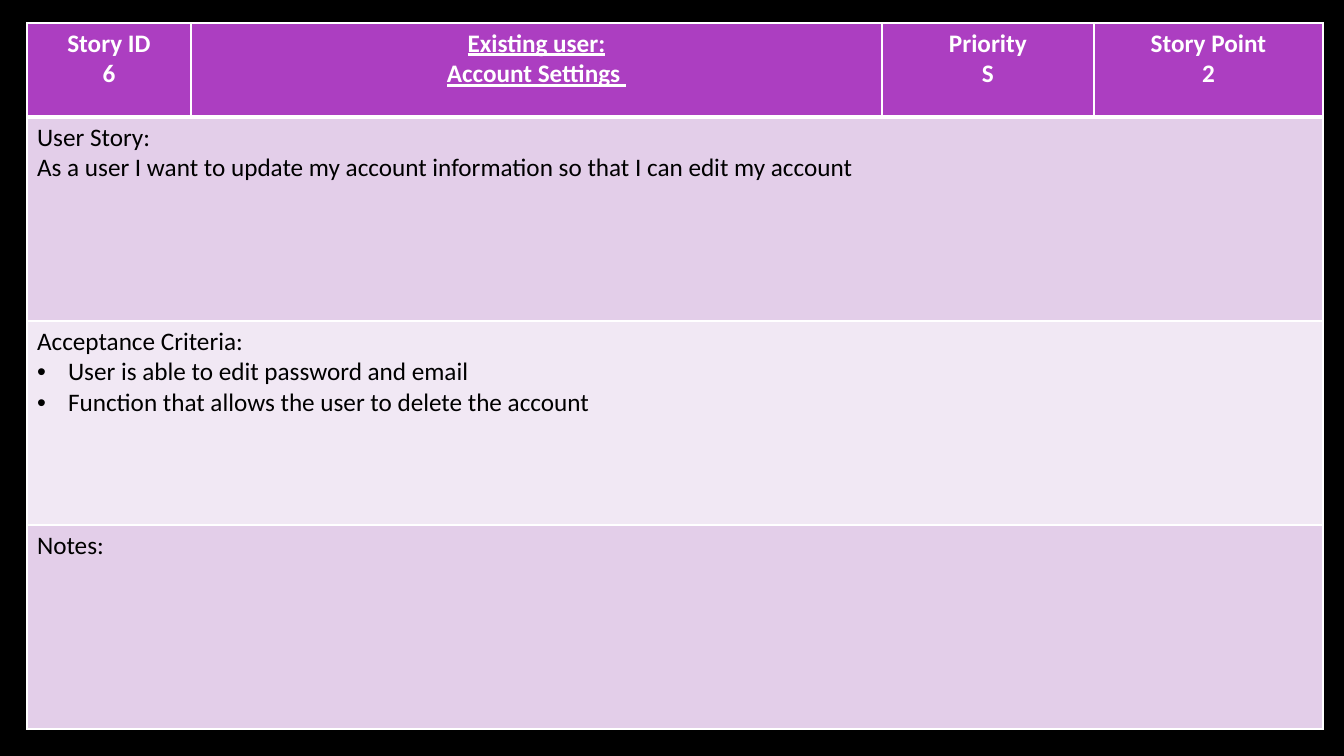
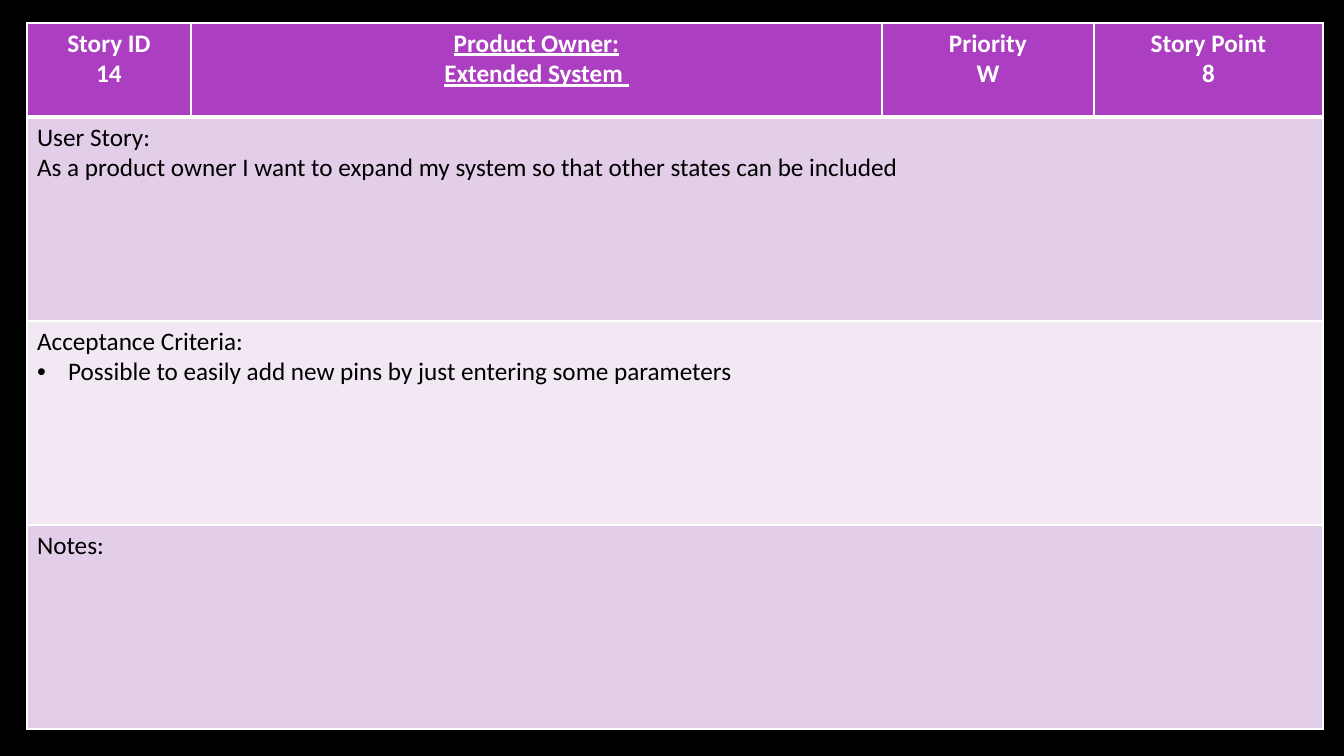
import pptx
import pptx.util
import pptx.dml.color
import pptx.enum.text
import pptx.oxml
import pptx.oxml.ns

PX = 12192000 / 1344
BLACK, WHITE = "000000", "FFFFFF"
HEADER_FILL, BAND_DARK, BAND_LIGHT = "AC3EC1", "E3CEE9", "F1E8F4"
HEADER_FONT = {"name": "Calibri", "size": pptx.util.Pt(18), "bold": True}
TITLE_FONT = {**HEADER_FONT, "underline": True}
BODY_FONT = {**HEADER_FONT, "bold": False}
CARD_BOX = (27, 23, 1296, 706)
HEADER_HEIGHT = 94
ID_WIDTH, PRIORITY_WIDTH, POINT_WIDTH = 164, 212, 229
BULLET_INDENT = 31

STORIES = [
    {
        "id": "6",
        "title": ["Existing user:", "Account Settings "],
        "priority": "S",
        "points": "2",
        "story": "As a user I want to update my account information so that I can edit my account",
        "criteria": [
            "User is able to edit password and email",
            "Function that allows the user to delete the account",
        ],
    },
    {
        "id": "14",
        "title": ["Product Owner:", "Extended System "],
        "priority": "W",
        "points": "8",
        "story": "As a product owner I want to expand my system so that other states can be included",
        "criteria": ["Possible to easily add new pins by just entering some parameters"],
    },
]


def emu(px):
    return pptx.util.Emu(round(px * PX))


def rgb(color):
    return pptx.dml.color.RGBColor.from_string(color)


def add_bullet(p):
    pPr = p._p.get_or_add_pPr()
    pPr.set("marL", str(emu(BULLET_INDENT)))
    pPr.set("indent", str(-emu(BULLET_INDENT)))
    ns = pptx.oxml.ns.nsdecls("a")
    pPr.append(pptx.oxml.parse_xml(f'<a:buFont {ns} typeface="Arial"/>'))
    pPr.append(pptx.oxml.parse_xml(f'<a:buChar {ns} char="•"/>'))


def style_cell(cell, fill, top=1, bottom=1):
    tcPr = cell._tc.get_or_add_tcPr()
    for side, width in {"L": 1, "R": 1, "T": top, "B": bottom}.items():
        tcPr.append(pptx.oxml.parse_xml(
            f'<a:ln{side} {pptx.oxml.ns.nsdecls("a")} w="{pptx.util.Pt(width)}">'
            f'<a:solidFill><a:srgbClr val="{WHITE}"/></a:solidFill></a:ln{side}>'
        ))
    cell.fill.solid()
    cell.fill.fore_color.rgb = rgb(fill)


def write_cell(cell, lines, font, color, align, bullets=()):
    tf = cell.text_frame
    for i, text in enumerate([*lines, *bullets]):
        p = tf.paragraphs[0] if i == 0 else tf.add_paragraph()
        p.alignment = align
        if i >= len(lines):
            add_bullet(p)
        r = p.add_run()
        r.text = text
        for name, value in font.items():
            setattr(r.font, name, value)
        r.font.color.rgb = rgb(color)


def fill_header(table, story):
    headings = [
        (["Story ID", story["id"]], HEADER_FONT),
        (story["title"], TITLE_FONT),
        (["Priority", story["priority"]], HEADER_FONT),
        (["Story Point", story["points"]], HEADER_FONT),
    ]
    for cell, (lines, font) in zip(table.rows[0].cells, headings):
        style_cell(cell, HEADER_FILL, bottom=3)
        write_cell(cell, lines, font, WHITE, pptx.enum.text.PP_ALIGN.CENTER)


def fill_body(table, story):
    sections = [
        (["User Story:", story["story"]], [], BAND_DARK),
        (["Acceptance Criteria:"], story["criteria"], BAND_LIGHT),
        (["Notes:"], [], BAND_DARK),
    ]
    last = len(table.columns) - 1
    for row, (lines, bullets, fill) in enumerate(sections, 1):
        for cell in table.rows[row].cells:
            style_cell(cell, fill, top=3 if row == 1 else 1)
        first = table.cell(row, 0)
        first.merge(table.cell(row, last))
        write_cell(first, lines, BODY_FONT, BLACK, pptx.enum.text.PP_ALIGN.LEFT, bullets)


def add_story_card(slide, box, story):
    left, top, width, height = box
    table = slide.shapes.add_table(4, 4, *map(emu, box)).table
    table.horz_banding = False
    title_width = width - ID_WIDTH - PRIORITY_WIDTH - POINT_WIDTH
    for column, w in zip(table.columns, (ID_WIDTH, title_width, PRIORITY_WIDTH, POINT_WIDTH)):
        column.width = emu(w)
    body_height = (height - HEADER_HEIGHT) / 3
    for row, h in zip(table.rows, [HEADER_HEIGHT] + [body_height] * 3):
        row.height = emu(h)
    fill_header(table, story)
    fill_body(table, story)


def add_story_slide(prs, story):
    slide = prs.slides.add_slide(prs.slide_layouts[6])
    slide.background.fill.solid()
    slide.background.fill.fore_color.rgb = rgb(BLACK)
    add_story_card(slide, CARD_BOX, story)


def main():
    prs = pptx.Presentation()
    prs.slide_width, prs.slide_height = emu(1344), emu(756)
    for story in STORIES:
        add_story_slide(prs, story)
    prs.save("out.pptx")


if __name__ == "__main__":
    main()
